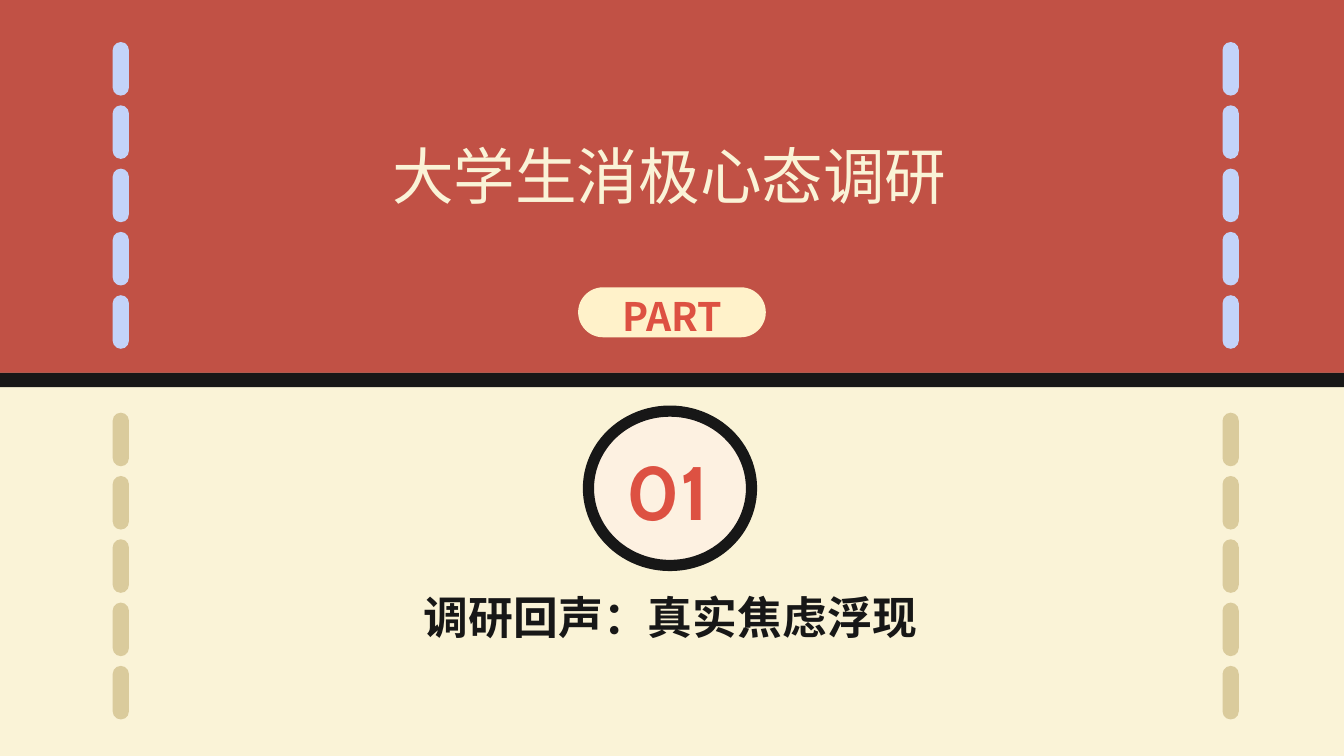
from lxml import etree
from pptx import Presentation
from pptx.dml.color import RGBColor
from pptx.enum.shapes import MSO_SHAPE
from pptx.enum.text import MSO_ANCHOR, MSO_AUTO_SIZE, PP_ALIGN
from pptx.oxml.ns import qn
from pptx.util import Cm, Pt

RECT = MSO_SHAPE.RECTANGLE
ROUNDED = MSO_SHAPE.ROUNDED_RECTANGLE
OVAL = MSO_SHAPE.OVAL
LEFT, CENTER = PP_ALIGN.LEFT, PP_ALIGN.CENTER
MIDDLE = MSO_ANCHOR.MIDDLE
NO_AUTOFIT = MSO_AUTO_SIZE.NONE

COLORS = {
    "cream": "FAF3D7",
    "red": "C15145",
    "blue": "C3D3F9",
    "sand": "DACB9C",
    "pill": "FFF2CA",
    "disc": "FDF1E1",
    "accent": "DD5142",
    "ink": "171717",
    "rule": "181717",
}
SANS_SC, SANS_JP, CABIN = "Noto Sans CJK SC", "Noto Sans CJK JP", "Cabin"

SLIDE_WIDTH, SLIDE_HEIGHT = 33.87, 19.05
RULE_TOP, RULE_HEIGHT = 9.4, 0.36
DASH_COUNT, DASH_WIDTH, DASH_HEIGHT = 5, 0.41, 1.35
DASH_LEFT, DASH_SPAN, DASH_RUN = 2.84, 28.38, 7.73


def rgb(name):
    return RGBColor.from_string(COLORS[name])


def add_filled(slide, kind, box, color):
    shape = slide.shapes.add_shape(kind, *map(Cm, box))
    shape.shadow.inherit = False
    shape.fill.solid()
    shape.fill.fore_color.rgb = rgb(color)
    shape.line.fill.background()
    if kind == ROUNDED:
        shape.adjustments[0] = 0.5
    return shape


def write(shape, words, size, font, color, bold=True, align=CENTER):
    frame = shape.text_frame
    frame.text = words
    frame.word_wrap = True
    frame.auto_size = NO_AUTOFIT
    frame.vertical_anchor = MIDDLE
    paragraph = frame.paragraphs[0]
    paragraph.alignment = align
    paragraph.space_before = Pt(0)
    run = paragraph.runs[0]
    run.font.size = Pt(size)
    run.font.bold = bold
    run.font.color.rgb = rgb(color)
    run.font.name = font
    east_asian = etree.SubElement(run.font._element, qn("a:ea"))
    east_asian.set("typeface", font)


def place_in_front(placeholder, box):
    placeholder.left, placeholder.top, placeholder.width, placeholder.height = map(Cm, box)
    tree = placeholder.element.getparent()
    tree.append(placeholder.element)


def add_dash_columns(slide, box, color):
    """Draw a column of rounded dashes along each side of the box."""
    left, top, width, height = box
    pitch = (height - DASH_HEIGHT) / (DASH_COUNT - 1)
    for x in (left, left + width - DASH_WIDTH):
        for row in range(DASH_COUNT):
            dash = (x, top + row * pitch, DASH_WIDTH, DASH_HEIGHT)
            add_filled(slide, ROUNDED, dash, color)


def add_topic_band(slide, box):
    left, top, width, height = box
    add_filled(slide, RECT, box, "red")
    add_dash_columns(slide, (left + DASH_LEFT, top + 1.06, DASH_SPAN, DASH_RUN), "blue")

    part_pill = add_filled(slide, ROUNDED, (left + 14.57, top + 7.24, 4.73, 1.26), "pill")
    write(part_pill, "PART", 28, SANS_SC, "accent")
    part_pill.text_frame.margin_top = Cm(0.2)
    part_pill.text_frame.margin_bottom = Cm(0)

    topic = slide.shapes.title
    place_in_front(topic, (left + 9.63, top + 3.35, 16.79, 2.13))
    write(topic, "大学生消极心态调研", 44, SANS_JP, "cream", bold=False, align=LEFT)


def add_section_band(slide, box):
    left, top, width, height = box
    add_filled(slide, RECT, box, "cream")
    add_dash_columns(slide, (left + DASH_LEFT, top + 1, DASH_SPAN, DASH_RUN), "sand")

    number_disc = add_filled(slide, OVAL, (left + 14.83, top + 0.96, 4.11, 3.89), "disc")
    number_disc.line.color.rgb = rgb("ink")
    number_disc.line.width = Pt(8)
    write(number_disc, "01", 54, CABIN, "accent")
    number_frame = number_disc.text_frame
    number_frame.margin_left = number_frame.margin_bottom = Cm(0.13)
    number_frame.margin_right = number_frame.margin_top = Cm(0.25)

    section_name = slide.placeholders[1]
    place_in_front(section_name, (left + 2.84, top + 5.41, 28.12, 1.47))
    write(section_name, "调研回声：真实焦虑浮现", 32, SANS_SC, "ink")


def main():
    deck = Presentation()
    deck.slide_width, deck.slide_height = Cm(SLIDE_WIDTH), Cm(SLIDE_HEIGHT)
    section_header = deck.slide_layouts[2]
    slide = deck.slides.add_slide(section_header)

    add_topic_band(slide, (0, 0, SLIDE_WIDTH, RULE_TOP))
    add_section_band(slide, (0, RULE_TOP, SLIDE_WIDTH, SLIDE_HEIGHT - RULE_TOP))
    add_filled(slide, RECT, (0, RULE_TOP, SLIDE_WIDTH, RULE_HEIGHT), "rule")
    deck.save("out.pptx")


if __name__ == "__main__":
    main()
